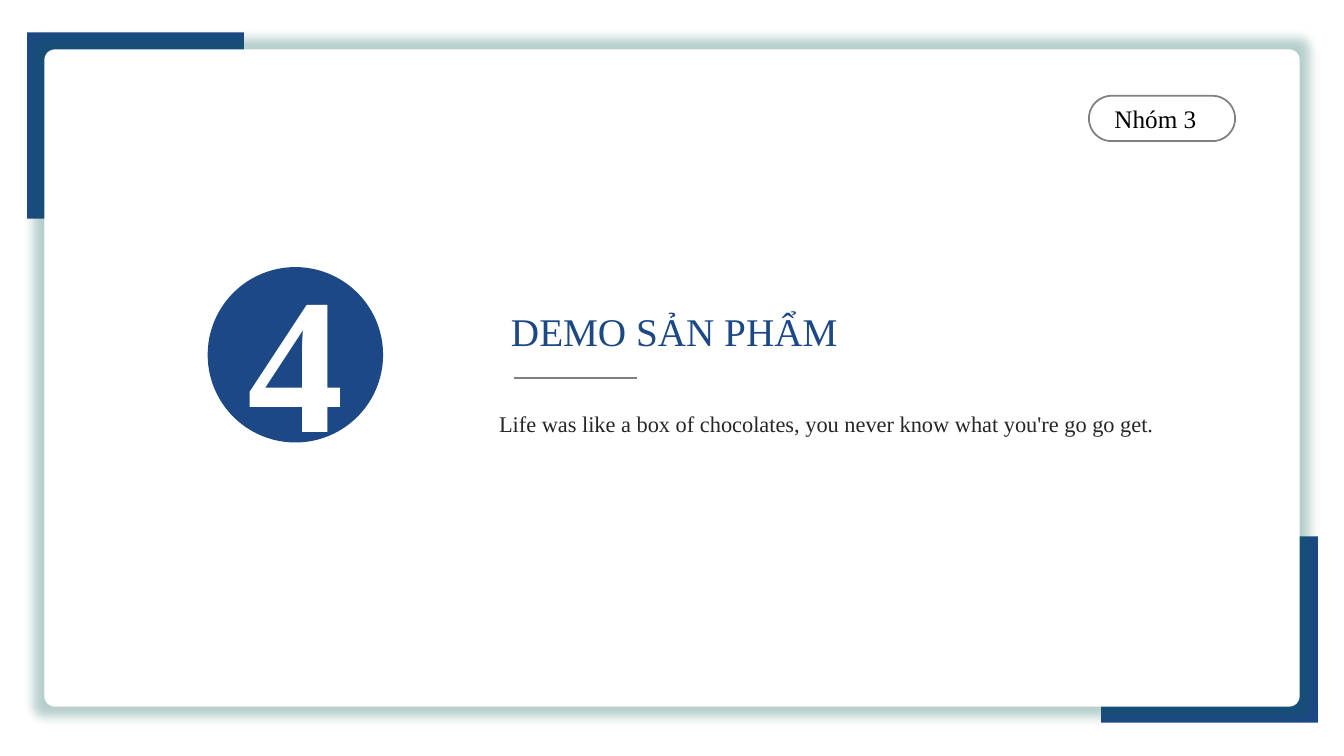
from dataclasses import dataclass

from lxml.etree import SubElement
from pptx import Presentation
from pptx.dml.color import RGBColor
from pptx.enum.shapes import MSO_CONNECTOR as Connector, MSO_SHAPE as Preset
from pptx.enum.text import MSO_ANCHOR as Anchor, MSO_AUTO_SIZE as AutoSize, PP_ALIGN as Align
from pptx.oxml.ns import qn
from pptx.util import Inches, Pt

FONT = "Times New Roman"
NAVY, WHITE, GREY, TEAL = "1C4885", "FFFFFF", "808080", "0A5D56"


@dataclass
class Label:
    text: str
    size: float
    color: str
    align: Align = Align.CENTER
    bold: bool = False
    right_inset: float = 0.1


@dataclass
class Box:
    left: float
    top: float
    width: float
    height: float
    preset: Preset | None = None  # None makes a text box
    fill: str | None = None
    line: str | None = None
    corner: float | None = None
    label: Label | None = None


def rgb(color: str) -> RGBColor:
    return RGBColor.from_string(color)


def write_label(shape, label: Label) -> None:
    frame = shape.text_frame
    frame.word_wrap = True
    frame.margin_right = Inches(label.right_inset)
    paragraph = frame.paragraphs[0]
    paragraph.alignment = label.align
    run = paragraph.add_run()
    run.text = label.text
    run.font.name = FONT
    run.font.size = Pt(label.size)
    run.font.bold = label.bold
    run.font.color.rgb = rgb(label.color)


def draw_box(slide, box: Box):
    place = [Inches(value) for value in (box.left, box.top, box.width, box.height)]
    if box.preset is None:
        shape = slide.shapes.add_textbox(*place)
        shape.text_frame.auto_size = AutoSize.SHAPE_TO_FIT_TEXT
    else:
        shape = slide.shapes.add_shape(box.preset, *place)
        shape.shadow.inherit = False
        shape.text_frame.vertical_anchor = Anchor.MIDDLE
        if box.corner is not None:
            shape.adjustments[0] = box.corner
        if box.fill:
            shape.fill.solid()
            shape.fill.fore_color.rgb = rgb(box.fill)
        else:
            shape.fill.background()
        if box.line:
            shape.line.color.rgb = rgb(box.line)
            shape.line.width = Pt(1.25)
        else:
            shape.line.fill.background()
    if box.label:
        write_label(shape, box.label)
    return shape


def add_glow(shape, color: str, radius: float, opacity: int) -> None:
    effects = shape._element.spPr.find(qn("a:effectLst"))
    glow = SubElement(effects, qn("a:glow"), rad=str(Pt(radius)))
    tint = SubElement(glow, qn("a:srgbClr"), val=color)
    SubElement(tint, qn("a:alpha"), val=str(opacity * 1000))


def draw_rule(slide, left: float, right: float, top: float) -> None:
    rule = slide.shapes.add_connector(
        Connector.STRAIGHT, Inches(left), Inches(top), Inches(right), Inches(top))
    rule.line.color.rgb = rgb(GREY)
    rule.line.width = Pt(2)
    SubElement(rule._element.spPr, qn("a:effectLst"))


def main() -> None:
    presentation = Presentation()
    presentation.slide_width = Inches(13.33)
    presentation.slide_height = Inches(7.5)
    slide = presentation.slides.add_slide(presentation.slide_layouts[6])

    # Corner blocks behind the glowing white panel
    for left, top in ((0.27, 0.32), (10.92, 5.32)):
        draw_box(slide, Box(left, top, 2.15, 1.85, Preset.RECTANGLE, NAVY))
    panel = draw_box(slide, Box(0.44, 0.49, 12.45, 6.52, Preset.ROUNDED_RECTANGLE,
                                WHITE, corner=0.016))
    add_glow(panel, TEAL, radius=14, opacity=30)

    # Section number, subtitle, title and group tag
    draw_rule(slide, 5.1, 6.32, 3.75)
    for box in (
        Box(2.06, 2.65, 1.74, 1.74, Preset.OVAL, NAVY,
            label=Label("4", 138, WHITE, bold=True)),
        Box(4.75, 4.02, 6.89, 0.37, label=Label(
            "Life was like a box of chocolates, you never know what you're go go get.",
            16, "262626")),
        Box(4.97, 3, 6.3, 0.57, label=Label("DEMO SẢN PHẨM", 28, NAVY, Align.LEFT)),
        Box(10.8, 0.95, 1.45, 0.45, Preset.ROUNDED_RECTANGLE, line=GREY, corner=0.5,
            label=Label("Nhóm 3", 18, "000000", right_inset=0.23)),
    ):
        draw_box(slide, box)

    presentation.save("out.pptx")


if __name__ == "__main__":
    main()
